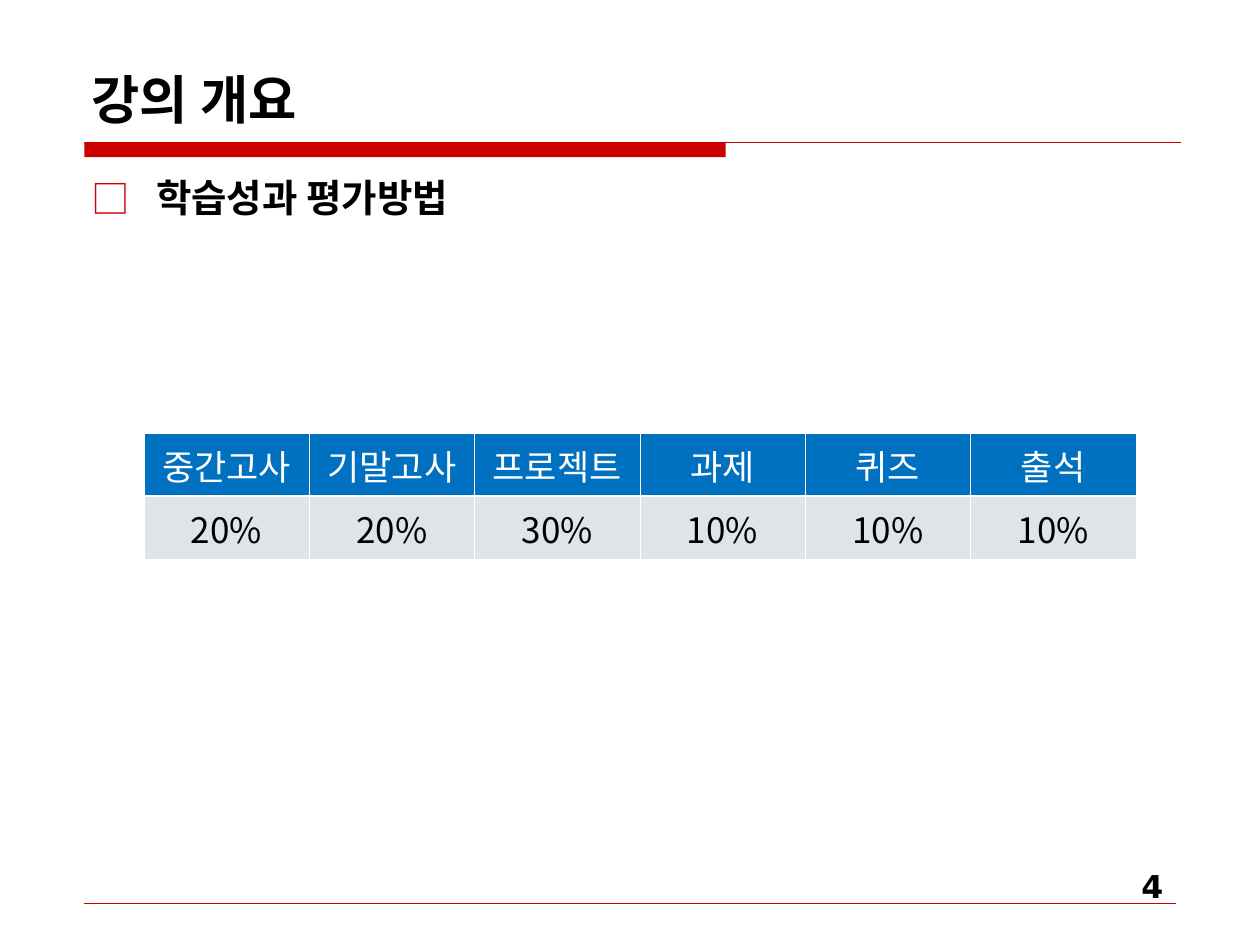
from dataclasses import dataclass

from lxml.etree import SubElement
from pptx import Presentation
from pptx.dml.color import RGBColor
from pptx.enum.shapes import MSO_CONNECTOR, MSO_SHAPE
from pptx.enum.text import MSO_ANCHOR, PP_ALIGN
from pptx.oxml.ns import qn
from pptx.util import Cm, Pt


@dataclass(frozen=True)
class Theme:
    red: str = "CC0000"
    blue: str = "0070C0"
    grey: str = "E0E4E9"
    white: str = "FFFFFF"
    black: str = "000000"
    korean_font: str = "Noto Sans CJK KR"
    title_font: str = "Cabin"
    number_font: str = "DejaVu Sans"
    title_size: int = 30
    heading_size: int = 22
    table_size: int = 20
    number_size: int = 18


THEME = Theme()
GRADING = {
    "중간고사": "20%",
    "기말고사": "20%",
    "프로젝트": "30%",
    "과제": "10%",
    "퀴즈": "10%",
    "출석": "10%",
}


def rgb(color):
    return RGBColor.from_string(color)


def write(text_frame, text, size, font=THEME.korean_font, color=THEME.black,
          bold=False, align=PP_ALIGN.LEFT):
    text_frame.text = text
    paragraph = text_frame.paragraphs[0]
    paragraph.alignment = align
    run = paragraph.runs[0]
    run.font.name, run.font.size, run.font.bold = font, Pt(size), bold
    run.font.color.rgb = rgb(color)
    SubElement(run.font._element, qn("a:ea"), typeface=THEME.korean_font)
    return paragraph


def add_text(slide, left, top, width, height, anchor=MSO_ANCHOR.TOP, **style):
    text_frame = slide.shapes.add_textbox(left, top, width, height).text_frame
    text_frame.word_wrap = True
    text_frame.vertical_anchor = anchor
    return write(text_frame, **style)


def add_rule(slide, left, top, width, weight):
    rule = slide.shapes.add_connector(
        MSO_CONNECTOR.STRAIGHT, left, top, left + width, top)
    rule.line.color.rgb = rgb(THEME.red)
    rule.line.width = Pt(weight)
    SubElement(rule._element.spPr, qn("a:effectLst"))


def add_header(slide, left, top, width, title):
    """Title above a thin rule whose left part is a thick bar."""
    title_height = Cm(1.9)
    rule_left, rule_top = left + Cm(0.1), top + Cm(2.03)
    add_text(slide, left, top, width, title_height, anchor=MSO_ANCHOR.BOTTOM,
             text=title, size=THEME.title_size, font=THEME.title_font, bold=True)
    bar = slide.shapes.add_shape(
        MSO_SHAPE.RECTANGLE, rule_left, rule_top, Cm(12.93), Cm(0.3))
    bar.shadow.inherit = False
    bar.fill.solid()
    bar.fill.fore_color.rgb = rgb(THEME.red)
    bar.line.fill.background()
    add_rule(slide, rule_left, rule_top, Cm(22.1), 0.75)


def add_heading(slide, left, top, width, height, text):
    """Heading with a hollow square bullet and a hanging indent."""
    paragraph = add_text(slide, left, top, width, height, text=text,
                         size=THEME.heading_size, bold=True)
    paragraph.space_before = Pt(5.5)
    properties = paragraph._p.get_or_add_pPr()
    indent = Cm(1.3)
    properties.set("marL", str(indent))
    properties.set("indent", str(-indent))
    bullet_color = SubElement(properties, qn("a:buClr"))
    SubElement(bullet_color, qn("a:srgbClr"), val=THEME.red)
    SubElement(properties, qn("a:buFont"), typeface=THEME.korean_font)
    SubElement(properties, qn("a:buChar"), char="□")


def set_borders(cell, **weights):
    """Draw white borders; each keyword is a side tag with its weight in points."""
    properties = cell._tc.get_or_add_tcPr()
    for position, (side, weight) in enumerate(weights.items()):
        border = SubElement(properties, qn(f"a:{side}"), w=str(Pt(weight)))
        fill = SubElement(border, qn("a:solidFill"))
        SubElement(fill, qn("a:srgbClr"), val=THEME.white)
        properties.insert(position, border)


def add_grading_table(slide, left, top, width, height, grading):
    rows = (
        (grading.keys(), THEME.blue, THEME.white, {"lnT": 0.45, "lnB": 1.47}),
        (grading.values(), THEME.grey, THEME.black, {"lnT": 1.47, "lnB": 0.45}),
    )
    table = slide.shapes.add_table(
        len(rows), len(grading), left, top, width, height).table
    for row, (texts, fill, color, edges) in enumerate(rows):
        for column, text in enumerate(texts):
            cell = table.cell(row, column)
            cell.fill.solid()
            cell.fill.fore_color.rgb = rgb(fill)
            cell.vertical_anchor = MSO_ANCHOR.MIDDLE
            write(cell.text_frame, text, THEME.table_size, color=color,
                  align=PP_ALIGN.CENTER)
            set_borders(cell, lnL=0.45, lnR=0.45, **edges)


def add_footer(slide, left, top, width, number):
    """Page number at the right, above a hairline."""
    number_width = Cm(5.5)
    add_text(slide, left + width - number_width, top, number_width, Cm(1.32),
             text=number, size=THEME.number_size, font=THEME.number_font,
             bold=True, align=PP_ALIGN.RIGHT)
    add_rule(slide, left, top + Cm(0.86), width, 0.25)


def main():
    presentation = Presentation()
    presentation.slide_width, presentation.slide_height = Cm(25.4), Cm(19.05)
    slide = presentation.slides.add_slide(presentation.slide_layouts[6])
    left, width = Cm(1.6), Cm(22.22)
    add_header(slide, left, Cm(0.84), width, "강의 개요")
    add_heading(slide, left, Cm(3.38), width, Cm(13.34), "학습성과 평가방법")
    add_grading_table(slide, Cm(2.9), Cm(8.73), Cm(20), Cm(2.54), GRADING)
    add_footer(slide, Cm(1.7), Cm(17.35), Cm(22), "4")
    presentation.save("out.pptx")


if __name__ == "__main__":
    main()
